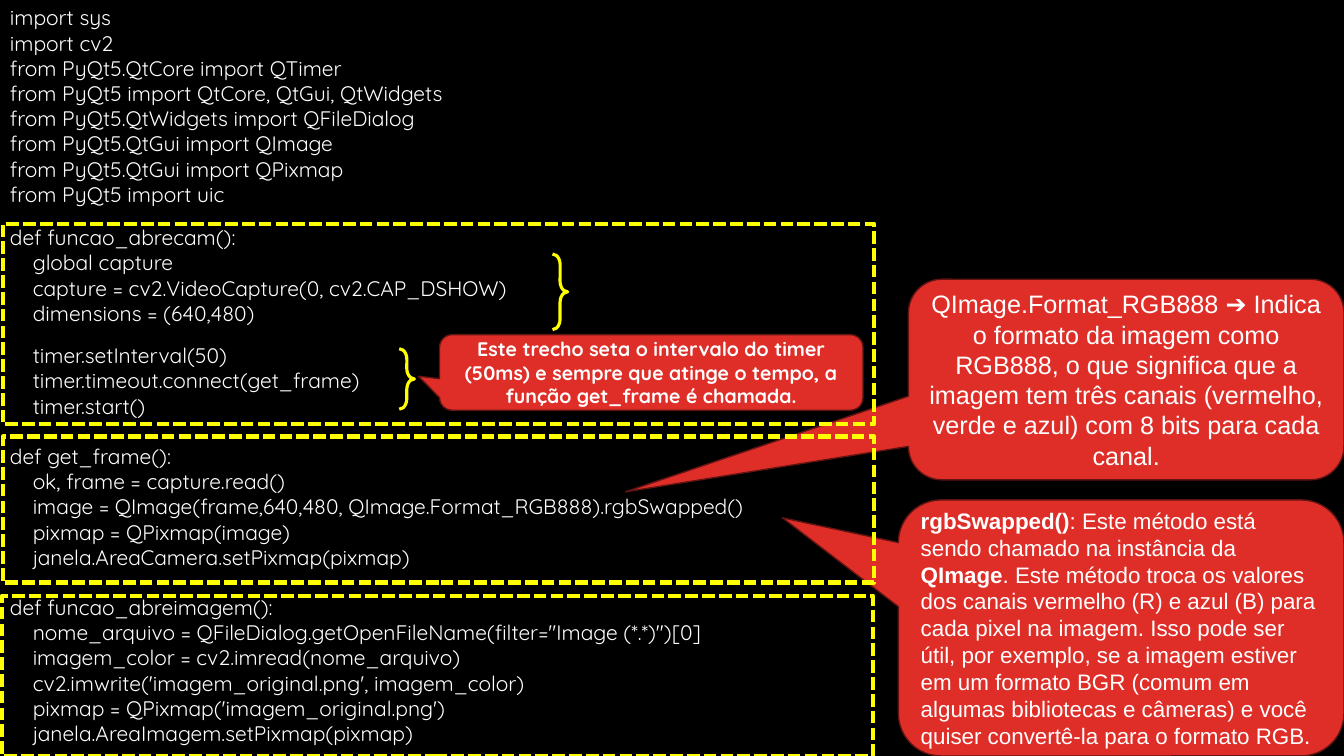
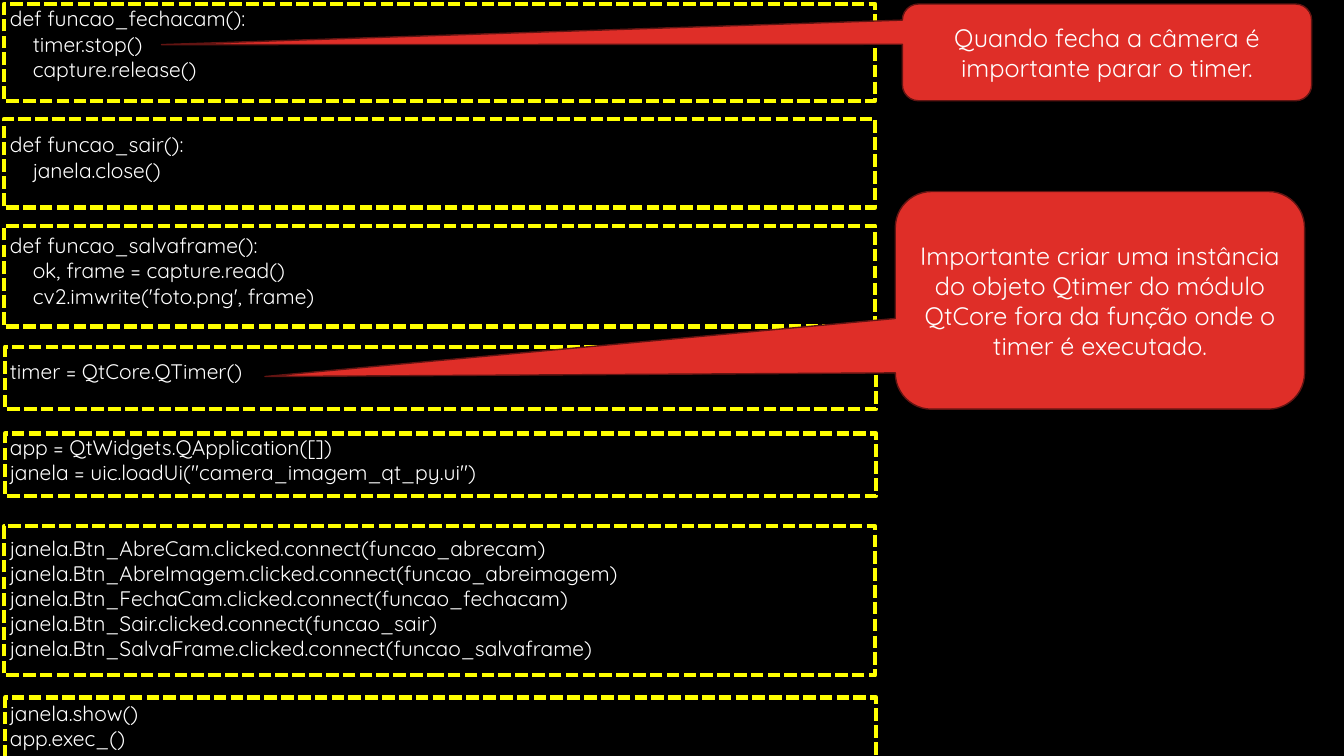
from pptx import Presentation
from pptx.dml.color import RGBColor
from pptx.enum.dml import MSO_LINE
from pptx.enum.shapes import MSO_SHAPE
from pptx.enum.text import MSO_ANCHOR, PP_ALIGN
from pptx.util import Inches, Pt

BLACK = RGBColor(0x00, 0x00, 0x00)
WHITE = RGBColor(0xFF, 0xFF, 0xFF)
YELLOW = RGBColor(0xFF, 0xFF, 0x00)
RED = RGBColor(0xDF, 0x2E, 0x28)
MAROON = RGBColor(0x62, 0x14, 0x12)

CODE = {"name": "Quicksand", "size": Pt(15)}
NOTE = {"name": "Quicksand", "size": Pt(18)}
ARIAL = {"name": "Arial", "size": Pt(18)}
SMALL = {"name": "Arial", "size": Pt(16)}
BOLD = {"name": "Quicksand", "size": Pt(14)}
CENTER, LEFT = PP_ALIGN.CENTER, PP_ALIGN.LEFT
FRAME_W, CODE_W, LINE_H = 8.64, 8.6, 0.25

# Code blocks are (top, lines); frames are (left, top, height);
# notes are (box, tail, align, font, runs), each run being (text, bold).
OPEN = {
    "code": [
        (0, [
            "import sys",
            "import cv2",
            "from PyQt5.QtCore import QTimer",
            "from PyQt5 import QtCore, QtGui, QtWidgets",
            "from PyQt5.QtWidgets import QFileDialog",
            "from PyQt5.QtGui import QImage",
            "from PyQt5.QtGui import QPixmap",
            "from PyQt5 import uic",
        ]),
        (2.18, [
            "def funcao_abrecam():",
            "    global capture",
            "    capture = cv2.VideoCapture(0, cv2.CAP_DSHOW)",
            "    dimensions = (640,480)",
        ]),
        (3.35, [
            "    timer.setInterval(50)",
            "    timer.timeout.connect(get_frame)",
            "    timer.start()",
        ]),
        (4.35, [
            "def get_frame():",
            "    ok, frame = capture.read()",
            "    image = QImage(frame,640,480, QImage.Format_RGB888).rgbSwapped()",
            "    pixmap = QPixmap(image)",
            "    janela.AreaCamera.setPixmap(pixmap)",
        ]),
        (5.85, [
            "def funcao_abreimagem():",
            "    nome_arquivo = QFileDialog.getOpenFileName(filter=\"Image (*.*)\")[0]",
            "    imagem_color = cv2.imread(nome_arquivo)",
            "    cv2.imwrite('imagem_original.png', imagem_color)",
            "    pixmap = QPixmap('imagem_original.png')",
            "    janela.AreaImagem.setPixmap(pixmap)",
        ]),
    ],
    "braces": [(5.48, 2.52, 0.15, 0.75), (3.96, 3.46, 0.15, 0.6)],
    "under": [
        ((8.91, 4.96, 4.42, 2.54), (-0.76, -0.43), LEFT, SMALL, [
            ("rgbSwapped()", True),
            (": Este método está sendo chamado na instância da ", False),
            ("QImage", True),
            (". Este método troca os valores dos canais vermelho (R) e azul (B) "
             "para cada pixel na imagem. Isso pode ser útil, por exemplo, se a "
             "imagem estiver em um formato BGR (comum em algumas bibliotecas e "
             "câmeras) e você quiser convertê-la para o formato RGB.", False),
        ]),
        ((9.01, 2.77, 4.32, 1.99), (-1.15, 0.56), CENTER, ARIAL, [
            ("QImage.Format_RGB888 ➔ Indica o formato da imagem como RGB888, "
             "o que significa que a imagem tem três canais (vermelho, verde e "
             "azul) com 8 bits para cada canal.", False),
        ]),
    ],
    "frames": [(0.03, 4.33, 1.45), (0.03, 2.22, 1.99), (0.02, 5.91, 1.59)],
    "over": [
        ((4.36, 3.32, 4.2, 0.75), (-0.55, 0.05), CENTER, BOLD, [
            ("Este trecho seta o intervalo do timer (50ms) e sempre que atinge "
             "o tempo, a função get_frame é chamada.", True),
        ]),
    ],
}
CLOSE = {
    "code": [
        (0.01, [
            "def funcao_fechacam():",
            "    timer.stop()",
            "    capture.release()",
        ]),
        (1.26, ["def funcao_sair():", "    janela.close()"]),
        (2.26, [
            "def funcao_salvaframe():",
            "    ok, frame = capture.read()",
            "    cv2.imwrite('foto.png', frame)",
        ]),
        (3.51, ["timer = QtCore.QTimer()"]),
        (4.26, [
            "app = QtWidgets.QApplication([])",
            "janela = uic.loadUi(\"camera_imagem_qt_py.ui\")",
        ]),
        (5.26, [
            "janela.Btn_AbreCam.clicked.connect(funcao_abrecam)",
            "janela.Btn_AbreImagem.clicked.connect(funcao_abreimagem)",
            "janela.Btn_FechaCam.clicked.connect(funcao_fechacam)",
            "janela.Btn_Sair.clicked.connect(funcao_sair)",
            "janela.Btn_SalvaFrame.clicked.connect(funcao_salvaframe)",
        ]),
        (6.9, ["janela.show()", "app.exec_()"]),
    ],
    "braces": [],
    "under": [],
    "frames": [
        (0.04, 0.04, 0.96), (0.04, 1.18, 0.88), (0.04, 2.24, 1),
        (0.05, 3.44, 0.62), (0.05, 4.3, 0.62), (0.04, 5.22, 1.48),
        (0.05, 6.92, 0.62),
    ],
    "over": [
        ((8.88, 1.9, 4.06, 2.16), (-2.04, 0.35), CENTER, NOTE, [
            ("Importante criar uma instância do objeto Qtimer do módulo QtCore "
             "fora da função onde o timer é executado.", False),
        ]),
        ((8.95, 0.04, 4.06, 0.96), (-2.31, -0.08), CENTER, NOTE, [
            ("Quando fecha a câmera é importante parar o timer.", False),
        ]),
    ],
}


def style(font, look):
    for key, val in look.items():
        setattr(font, key, val)
    font.color.rgb = WHITE


def add_code(slide, top, lines):
    box = slide.shapes.add_textbox(
        Inches(0), Inches(top), Inches(CODE_W), Inches(LINE_H * len(lines) + 0.1))
    text = box.text_frame
    text.word_wrap = True
    text.text = "\n".join(lines)
    for para in text.paragraphs:
        style(para.runs[0].font, CODE)


def add_shape(slide, kind, box, color, width, fill=None):
    shape = slide.shapes.add_shape(kind, *map(Inches, box))
    shape.shadow.inherit = False
    if fill is None:
        shape.fill.background()
    else:
        shape.fill.solid()
        shape.fill.fore_color.rgb = fill
    shape.line.color.rgb = color
    shape.line.width = Pt(width)
    return shape


def add_note(slide, box, tail, align, look, runs):
    note = add_shape(slide, MSO_SHAPE.ROUNDED_RECTANGULAR_CALLOUT, box, MAROON, 1, RED)
    note.adjustments[0], note.adjustments[1] = tail
    text = note.text_frame
    text.word_wrap = True
    text.vertical_anchor = MSO_ANCHOR.MIDDLE
    para = text.paragraphs[0]
    para.alignment = align
    for words, bold in runs:
        run = para.add_run()
        run.text = words
        style(run.font, {**look, "bold": bold})


def add_slide(deck, data):
    slide = deck.slides.add_slide(deck.slide_layouts[6])
    for top, lines in data["code"]:
        add_code(slide, top, lines)
    for box in data["braces"]:
        brace = add_shape(slide, MSO_SHAPE.RIGHT_BRACE, box, YELLOW, 2.25)
        brace.adjustments[0] = 0.69
    for note in data["under"]:
        add_note(slide, *note)
    for left, top, height in data["frames"]:
        frame = add_shape(slide, MSO_SHAPE.RECTANGLE,
                          (left, top, FRAME_W, height), YELLOW, 3)
        frame.line.dash_style = MSO_LINE.SQUARE_DOT
    for note in data["over"]:
        add_note(slide, *note)


def main():
    deck = Presentation()
    deck.slide_width, deck.slide_height = Inches(13.33), Inches(7.5)
    # Shared black background
    back = deck.slide_master.background.fill
    back.solid()
    back.fore_color.rgb = BLACK
    for data in (OPEN, CLOSE):
        add_slide(deck, data)
    deck.save("out.pptx")


if __name__ == "__main__":
    main()
